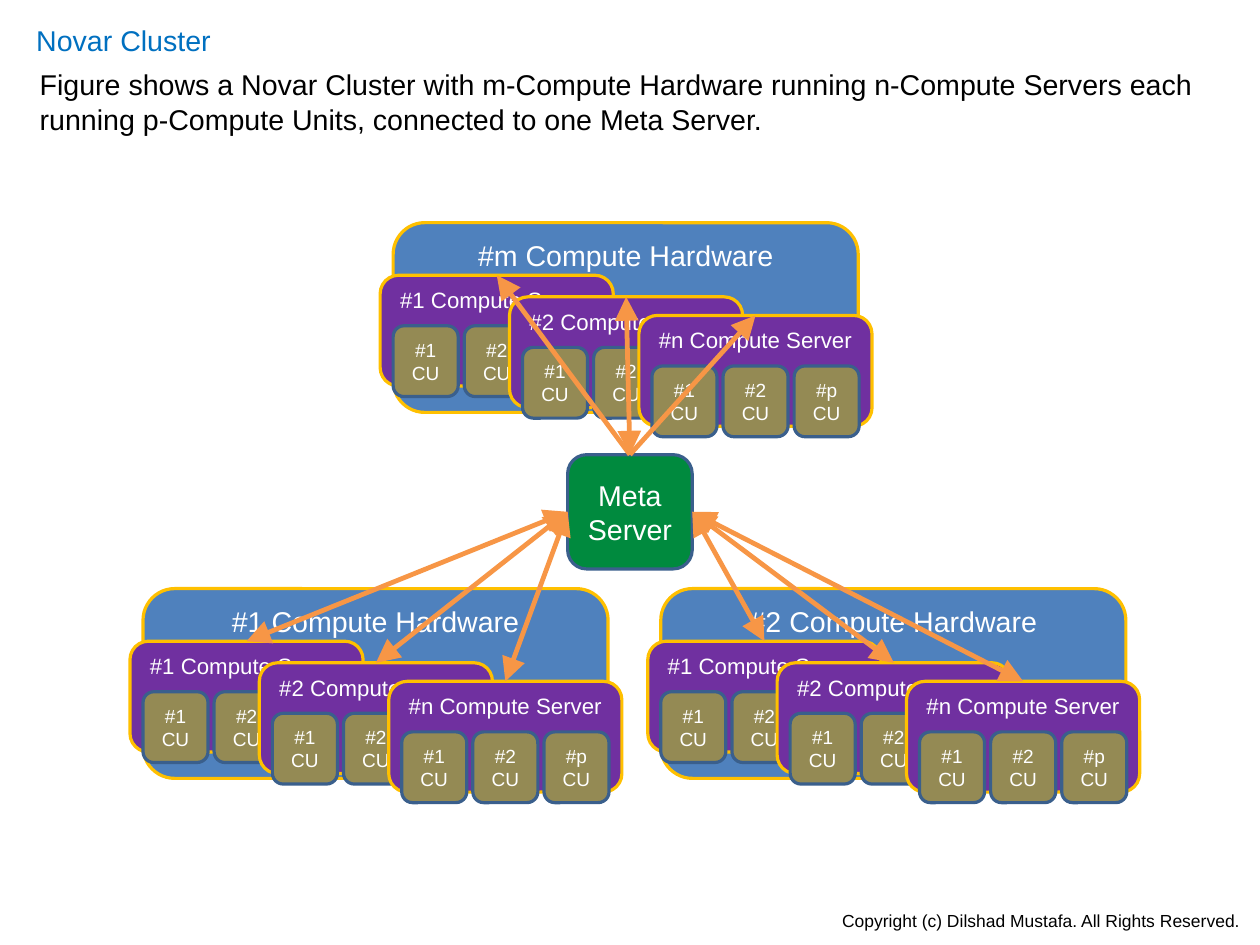
from dataclasses import dataclass

from lxml.etree import SubElement
from pptx import Presentation
from pptx.dml.color import RGBColor
from pptx.enum.shapes import MSO_CONNECTOR, MSO_SHAPE
from pptx.enum.text import MSO_ANCHOR, MSO_AUTO_SIZE, PP_ALIGN
from pptx.oxml.ns import qn
from pptx.shapes.autoshape import Shape
from pptx.shapes.shapetree import GroupShapes, SlideShapes
from pptx.text.text import TextFrame
from pptx.util import Pt


@dataclass(frozen=True)
class Theme:
    font: str = "Arial"
    white: str = "FFFFFF"
    black: str = "000000"
    title: str = "0070C0"
    meta: str = "008A3E"
    host: str = "4F81BD"
    server: str = "7030A0"
    unit: str = "948A54"
    gold: str = "FFC000"
    navy: str = "3A5F8C"
    wire: str = "F79646"
    large: float = 18
    medium: float = 14
    small: float = 12
    note: float = 11
    edge: float = 2
    thick: float = 3


THEME = Theme()


@dataclass(frozen=True)
class Area:
    left: float
    top: float
    width: float
    height: float


@dataclass(frozen=True)
class Style:
    fill: str
    edge: str
    size: float
    anchor: MSO_ANCHOR


@dataclass(frozen=True)
class Server:
    name: str
    drop: float
    units: tuple[str, ...]


@dataclass(frozen=True)
class Host:
    name: str
    left: float
    top: float
    port: int
    tails: tuple[bool, ...]


META = Style(THEME.meta, THEME.navy, THEME.large, MSO_ANCHOR.MIDDLE)
HOST = Style(THEME.host, THEME.gold, THEME.large, MSO_ANCHOR.TOP)
SERVER = Style(THEME.server, THEME.gold, THEME.medium, MSO_ANCHOR.TOP)
UNIT = Style(THEME.unit, THEME.navy, THEME.small, MSO_ANCHOR.MIDDLE)

TOP, LEFT, RIGHT = 0, 1, 3
SERVERS = (
    Server("#1", 33.1, ("#1", "#2")),
    Server("#2", 46.7, ("#1", "#2")),
    Server("#n", 58.4, ("#1", "#2", "#p")),
)
HOSTS = (
    Host("#m", 247.7, 140.3, TOP, (False, True, False)),
    Host("#2", 416.3, 370.8, RIGHT, (True, True, True)),
    Host("#1", 90.1, 370.8, LEFT, (True, True, True)),
)
SERVER_SHIFT, SERVER_STEP = -8.2, 81.5
UNIT_SHIFT, UNIT_DROP, UNIT_STEP = 8.2, 31.8, 44.8


def write(frame: TextFrame, lines: list[str], size: float, color: str,
          align: PP_ALIGN) -> None:
    for row, line in enumerate(lines):
        para = frame.add_paragraph() if row else frame.paragraphs[0]
        para.alignment = align
        para.space_before = Pt(0)
        run = para.add_run()
        run.text = line
        run.font.name = THEME.font
        run.font.size = Pt(size)
        run.font.color.rgb = RGBColor.from_string(color)


def place(shape: Shape, area: Area) -> None:
    shape.left, shape.top = Pt(area.left), Pt(area.top)
    shape.width, shape.height = Pt(area.width), Pt(area.height)


def label(shape: Shape, area: Area, lines: list[str], size: float,
          color: str) -> None:
    place(shape, area)
    frame = shape.text_frame
    frame.word_wrap = False
    frame.auto_size = MSO_AUTO_SIZE.SHAPE_TO_FIT_TEXT
    frame.vertical_anchor = MSO_ANCHOR.TOP
    write(frame, lines, size, color, PP_ALIGN.LEFT)


def plain(frame: TextFrame) -> None:
    for para in frame.paragraphs:
        props = para._p.get_or_add_pPr()
        props.set("marL", "0")
        props.set("indent", "0")
        SubElement(props, qn("a:buNone"))


def box(shapes: SlideShapes | GroupShapes, area: Area, lines: list[str],
        style: Style) -> Shape:
    shape = shapes.add_shape(MSO_SHAPE.ROUNDED_RECTANGLE, Pt(area.left),
                             Pt(area.top), Pt(area.width), Pt(area.height))
    shape.shadow.inherit = False
    shape.fill.solid()
    shape.fill.fore_color.rgb = RGBColor.from_string(style.fill)
    shape.line.color.rgb = RGBColor.from_string(style.edge)
    shape.line.width = Pt(THEME.edge)
    shape.text_frame.word_wrap = True
    shape.text_frame.vertical_anchor = style.anchor
    write(shape.text_frame, lines, style.size, THEME.white, PP_ALIGN.CENTER)
    return shape


def rack(shapes: SlideShapes, host: Host) -> list[Shape]:
    parts = shapes.add_group_shape().shapes
    box(parts, Area(host.left, host.top, 293, 119.5),
        [f"{host.name} Compute Hardware"], HOST)
    found = []
    for col, server in enumerate(SERVERS):
        left = host.left + SERVER_SHIFT + col * SERVER_STEP
        top = host.top + server.drop
        found.append(box(parts, Area(left, top, 146.9, 69.8),
                         [f"{server.name} Compute Server"], SERVER))
        for slot, unit in enumerate(server.units):
            spot = Area(left + UNIT_SHIFT + slot * UNIT_STEP,
                        top + UNIT_DROP, 41, 44.6)
            box(parts, spot, [f"{unit} CU"], UNIT)
    return found


def wire(shapes: SlideShapes, server: Shape, meta: Shape, port: int,
         tail: bool) -> None:
    link = shapes.add_connector(MSO_CONNECTOR.STRAIGHT, Pt(0), Pt(0), Pt(0), Pt(0))
    link.begin_connect(server, TOP)
    link.end_connect(meta, port)
    link.line.color.rgb = RGBColor.from_string(THEME.wire)
    link.line.width = Pt(THEME.thick)
    props = link._element.spPr
    for end in ("a:headEnd", "a:tailEnd") if tail else ("a:headEnd",):
        SubElement(props.find(qn("a:ln")), qn(end),
                   type="triangle", w="lg", len="lg")
    SubElement(props, qn("a:effectLst"))


def main() -> None:
    deck = Presentation()
    deck.slide_width, deck.slide_height = Pt(793.75), Pt(595.25)
    slide = deck.slides.add_slide(deck.slide_layouts[1])
    shapes = slide.shapes
    meta = box(shapes, Area(357.6, 286.4, 78.5, 72), ["Meta", "Server"], META)
    racks = [rack(shapes, host) for host in HOSTS]
    for host, servers in zip(HOSTS, racks):
        for server, tail in zip(servers, host.tails):
            wire(shapes, server, meta, host.port, tail)
    label(shapes.title, Area(15.6, 10.8, 132, 28.8), ["Novar Cluster"],
          THEME.large, THEME.title)
    body = slide.placeholders[1]
    label(body, Area(17.8, 38.7, 772.6, 51.1), [
        "Figure shows a Novar Cluster with m-Compute Hardware running n-Compute Servers each",
        "running p-Compute Units, connected to one Meta Server.",
    ], THEME.large, THEME.black)
    plain(body.text_frame)
    note = shapes.add_textbox(Pt(0), Pt(0), Pt(0), Pt(0))
    label(note, Area(523.4, 569.5, 267.8, 20.9),
          ["Copyright (c) Dilshad Mustafa. All Rights Reserved."],
          THEME.note, THEME.black)
    deck.save("out.pptx")


if __name__ == "__main__":
    main()
